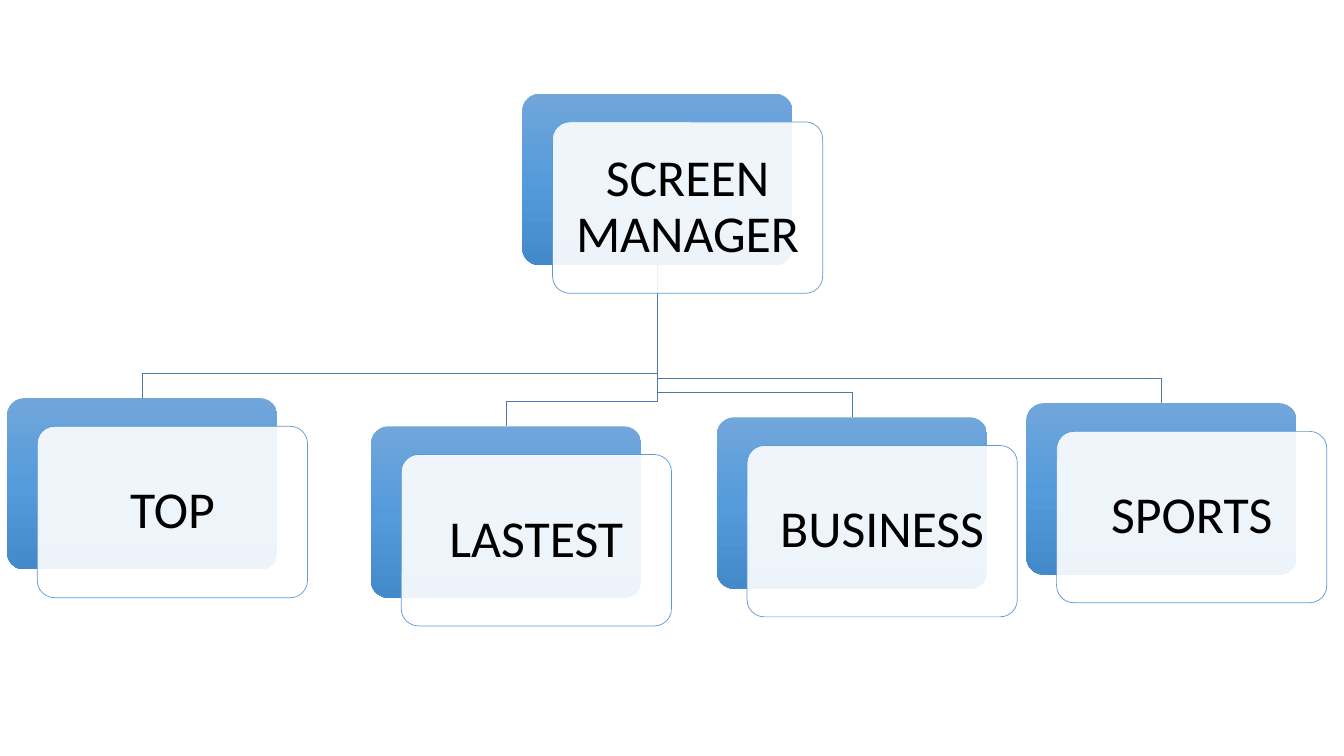
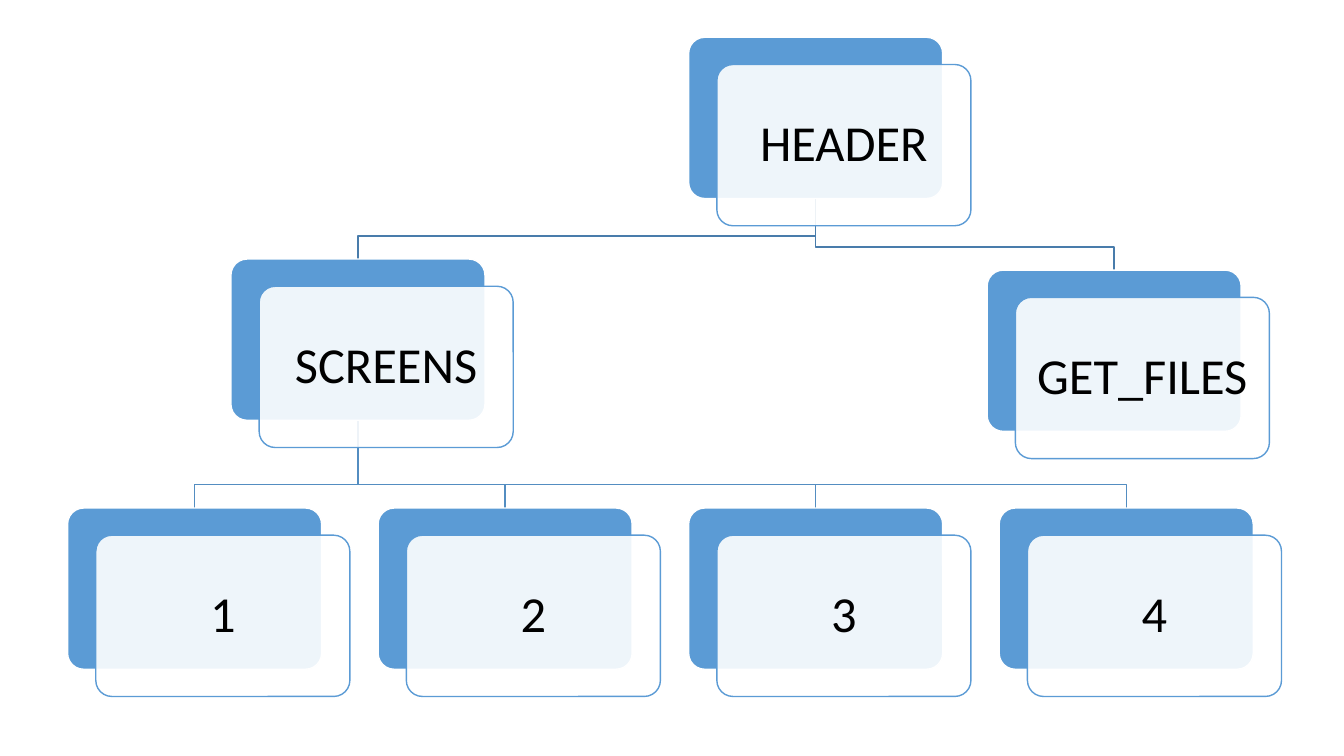
"""Build two hierarchy slides made of layered cards and elbow links."""
from copy import deepcopy
from dataclasses import dataclass

from lxml.etree import SubElement
from pptx import Presentation
from pptx.dml.color import RGBColor
from pptx.enum.shapes import MSO_SHAPE
from pptx.enum.text import MSO_ANCHOR, PP_ALIGN
from pptx.oxml.ns import qn
from pptx.shapes.autoshape import Shape
from pptx.slide import Slide
from pptx.util import Inches, Pt


@dataclass(frozen=True)
class Theme:
    """Colours and type shared by both slides."""
    font: str = "Calibri"
    ink: str = "000000"
    paper: str = "FFFFFF"
    accent: str = "5B9BD5"
    gradient: tuple[str, ...] = ("71A6DB", "559BDB", "448ACA")
    link_by_level: tuple[str, ...] = ("497CAB", "538DC1")
    front_opacity: float = 0.9
    line_spacing: float = 0.9
    padding: float = 0.15
    corner: float = 0.1
    manager_size: float = 37
    header_size: float = 36


@dataclass(frozen=True)
class CardStyle:
    """Measures and back-card look of one hierarchy, lengths in inches."""
    width: float
    height: float
    shift_x: float
    shift_y: float
    stub: float
    weight: float
    text_size: float
    back_fill: tuple[str, ...]
    back_outline: str | None = None


@dataclass(frozen=True)
class Node:
    """A labelled card, placed by the corner of its back layer."""
    label: str
    left: float
    top: float
    children: tuple["Node", ...] = ()


THEME = Theme()
MANAGER_STYLE = CardStyle(2.68, 1.7, 0.3, 0.28, 0.25, 0.5, THEME.manager_size, THEME.gradient)
HEADER_STYLE = CardStyle(2.52, 1.6, 0.28, 0.27, 0.23, 1, THEME.header_size,
                         (THEME.accent,), THEME.paper)

MANAGER = Node("SCREEN MANAGER", 5.18, 0.93, (
    Node("TOP", 0.07, 3.95),
    Node("LASTEST", 3.68, 4.23),
    Node("BUSINESS", 7.11, 4.14),
    Node("SPORTS", 10.18, 4),
))
SCREEN_PITCH = 3.08
HEADER = Node("HEADER", 6.83, 0.37, (
    Node("SCREENS", 2.29, 2.57, tuple(
        Node(str(number + 1), 0.67 + number * SCREEN_PITCH, 5.04) for number in range(4))),
    Node("GET_FILES", 9.79, 2.68),
))


def paint_fill(shape: Shape, colours: tuple[str, ...], opacity: float = 1) -> None:
    """Fill with one colour, or with an even top-to-bottom gradient of several."""
    if len(colours) == 1:
        shape.fill.solid()
        shape.fill.fore_color.rgb = RGBColor.from_string(colours[0])
        if opacity < 1:
            colour = shape.element.spPr.find(qn("a:solidFill"))[0]
            SubElement(colour, qn("a:alpha")).set("val", str(round(opacity * 100000)))
        return
    shape.fill.gradient()
    shape.fill.gradient_angle = 270
    stop_list = shape.element.spPr.find(qn("a:gradFill")).find(qn("a:gsLst"))
    while len(stop_list) < len(colours):
        stop_list.insert(1, deepcopy(stop_list[0]))
    for index, (stop, colour) in enumerate(zip(shape.fill.gradient_stops, colours)):
        stop.color.rgb = RGBColor.from_string(colour)
        stop.position = index / (len(colours) - 1)


def paint_line(shape: Shape, colour: str | None, weight: float) -> None:
    """Outline the shape, or leave it bare when there is no colour."""
    shape.shadow.inherit = False
    if colour is None:
        shape.line.fill.background()
        return
    shape.line.color.rgb = RGBColor.from_string(colour)
    shape.line.width = Pt(weight)


def write_text(shape: Shape, text: str, *, size: float, colour: str = THEME.ink,
               font: str = THEME.font, align: PP_ALIGN = PP_ALIGN.CENTER,
               anchor: MSO_ANCHOR = MSO_ANCHOR.MIDDLE) -> None:
    """Write one formatted paragraph into a shape."""
    frame = shape.text_frame
    frame.word_wrap = True
    frame.vertical_anchor = anchor
    frame.margin_left = frame.margin_right = Inches(THEME.padding)
    frame.margin_top = frame.margin_bottom = Inches(THEME.padding)
    paragraph = frame.paragraphs[0]
    paragraph.alignment = align
    paragraph.line_spacing = THEME.line_spacing
    run = paragraph.add_run()
    run.text = text
    run.font.size = Pt(size)
    run.font.name = font
    run.font.color.rgb = RGBColor.from_string(colour)


def draw_layer(slide: Slide, style: CardStyle, left: float, top: float) -> Shape:
    """Add one rounded layer of a card."""
    layer = slide.shapes.add_shape(MSO_SHAPE.ROUNDED_RECTANGLE, Inches(left), Inches(top),
                                   Inches(style.width), Inches(style.height))
    layer.adjustments[0] = THEME.corner
    return layer


def draw_cards(slide: Slide, node: Node, style: CardStyle) -> None:
    """Draw the node and all its descendants as layered cards."""
    back = draw_layer(slide, style, node.left, node.top)
    paint_fill(back, style.back_fill)
    paint_line(back, style.back_outline, style.weight)
    front = draw_layer(slide, style, node.left + style.shift_x, node.top + style.shift_y)
    paint_fill(front, (THEME.paper,), THEME.front_opacity)
    paint_line(front, THEME.accent, style.weight)
    write_text(front, node.label, size=style.text_size)
    for child in node.children:
        draw_cards(slide, child, style)


def draw_links(slide: Slide, parent: Node, style: CardStyle, level: int = 0) -> None:
    """Draw elbow links from each parent's base to the top of its children."""
    start_x = Inches(parent.left + style.width / 2)
    start_y = Inches(parent.top + style.height)
    for child in parent.children:
        end_x = Inches(child.left + style.width / 2)
        bend_y = Inches(child.top - style.stub)
        builder = slide.shapes.build_freeform(start_x, start_y)
        builder.add_line_segments(
            [(start_x, bend_y), (end_x, bend_y), (end_x, Inches(child.top))], close=False)
        link = builder.convert_to_shape()
        link.fill.background()
        paint_line(link, THEME.link_by_level[level], style.weight)
        draw_links(slide, child, style, level + 1)


def main() -> None:
    """Build and save the presentation."""
    deck = Presentation()
    deck.slide_width = Inches(13.33)
    deck.slide_height = Inches(7.5)
    for root, style in ((MANAGER, MANAGER_STYLE), (HEADER, HEADER_STYLE)):
        slide = deck.slides.add_slide(deck.slide_layouts[6])
        draw_links(slide, root, style)
        draw_cards(slide, root, style)
    deck.save("out.pptx")


main()
